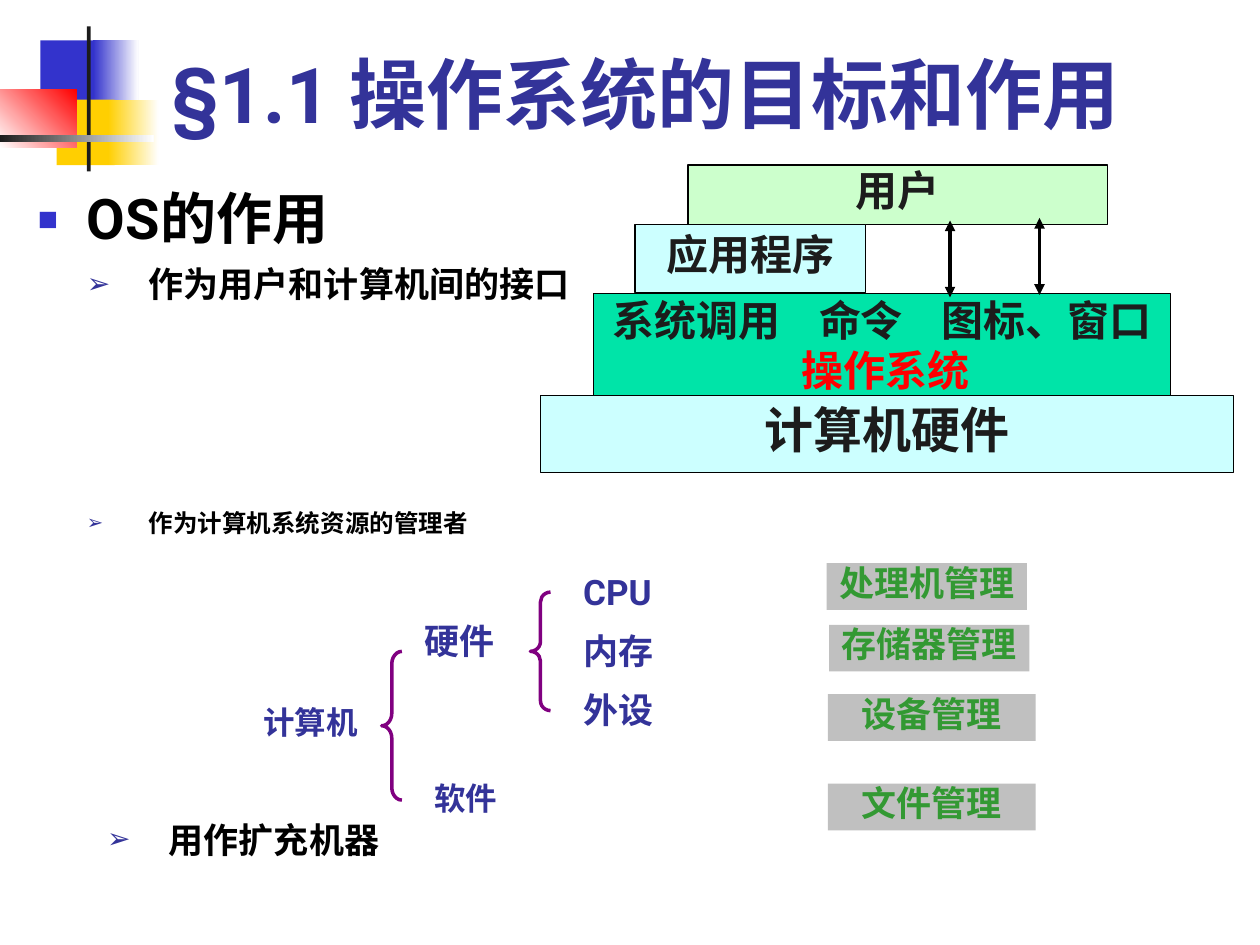
from dataclasses import dataclass

from lxml.etree import SubElement
from pptx import Presentation
from pptx.dml.color import RGBColor as RGB
from pptx.enum.shapes import MSO_CONNECTOR as CONN, MSO_SHAPE as SHAPE
from pptx.enum.text import MSO_ANCHOR as ANCHOR, MSO_AUTO_SIZE as FIT, PP_ALIGN as ALIGN
from pptx.oxml.ns import qn
from pptx.util import Inches, Pt


@dataclass(frozen=True)
class Theme:
    font: str = "Roboto"
    blue: str = "3333CC"
    navy: str = "333399"
    yellow: str = "FFCF01"
    red: str = "FF0000"
    ink: str = "1C1C1C"
    black: str = "000000"
    white: str = "FFFFFF"
    mint: str = "CCFFCC"
    aqua: str = "CCFFFF"
    jade: str = "00E4A8"
    silver: str = "C0C0C0"
    green: str = "339933"
    purple: str = "800080"
    title: int = 44
    heading: int = 32
    hardware: int = 28
    layer: int = 24
    label: int = 20
    minor: int = 18
    small: int = 14


T = Theme()


def apply(obj, values):
    for name, value in values.items():
        setattr(obj, name, value)


def place(sp, box):
    apply(sp, dict(zip(("left", "top", "width", "height"), map(Inches, box))))


def format_frame(tf, wrap=True, anchor=ANCHOR.TOP, left=0.1):
    apply(tf, {
        "auto_size": FIT.NONE, "word_wrap": wrap, "vertical_anchor": anchor,
        "margin_left": Inches(left), "margin_right": Inches(0.1),
        "margin_top": Inches(0.05), "margin_bottom": Inches(0.05),
    })


def write(p, text, size, color, align=ALIGN.LEFT, spacing=0.8):
    apply(p, {"alignment": align, "line_spacing": spacing, "space_before": Pt(0)})
    r = p.add_run()
    r.text = text
    apply(r.font, {"name": T.font, "size": Pt(size), "bold": True})
    r.font.color.rgb = RGB.from_string(color)


def add_bullet(p, char, color, percent, indent):
    pPr = p._p.get_or_add_pPr()
    pPr.set("marL", str(Inches(indent)))
    pPr.set("indent", str(-Inches(indent)))
    SubElement(SubElement(pPr, qn("a:buClr")), qn("a:srgbClr"), val=color)
    SubElement(pPr, qn("a:buSzPct"), val=str(percent * 1000))
    SubElement(pPr, qn("a:buChar"), char=char)


def add_tabs(p, stops):
    tabs = SubElement(p._p.get_or_add_pPr(), qn("a:tabLst"))
    for stop in stops:
        SubElement(tabs, qn("a:tab"), pos=str(Inches(stop)), algn="l")


def add_block(s, box, colors, border=None, angle=0, shape=SHAPE.RECTANGLE):
    sp = s.shapes.add_shape(shape, *map(Inches, box))
    sp.shadow.inherit = False
    if len(colors) == 2:
        sp.fill.gradient()
        sp.fill.gradient_angle = angle
        for stop, color, position in zip(sp.fill.gradient_stops, colors, (0, 1)):
            stop.color.rgb = RGB.from_string(color)
            stop.position = position
    elif colors:
        sp.fill.solid()
        sp.fill.fore_color.rgb = RGB.from_string(colors[0])
    else:
        sp.fill.background()
    if border:
        color, width = border
        sp.line.color.rgb = RGB.from_string(color)
        sp.line.width = Pt(width)
    else:
        sp.line.fill.background()
    return sp


def add_ornament(s, x, y):
    for dx, dy, w, h, colors, angle in (
        (0.32, 0.11, 0.48, 0.52, [T.blue], 0),
        (0.74, 0.11, 0.36, 0.52, [T.blue, T.white], 0),
        (0.45, 0.58, 0.46, 0.52, [T.yellow], 0),
        (0.86, 0.58, 0.4, 0.52, [T.yellow, T.white], 0),
        (0, 0.5, 0.61, 0.46, [T.white, T.red], 45),
        (0.69, 0, 0.03, 1.15, [T.ink], 0),
        (0, 0.86, 1.22, 0.06, [T.ink, T.white], 0),
    ):
        add_block(s, (x + dx, y + dy, w, h), colors, angle=angle)


def add_title(s, box):
    sp = s.shapes.title
    place(sp, box)
    format_frame(sp.text_frame, anchor=ANCHOR.BOTTOM)
    write(sp.text_frame.paragraphs[0], "§1.1 操作系统的目标和作用", T.title, T.navy, spacing=1)


def add_outline(s):
    square, arrow = ("■", T.blue, 60, 0.39), ("➢", T.navy, 80, 0.49)
    items = (
        ("OS的作用", (0.2, 1.47, 4.33, 0.63), T.heading, 0.9, square),
        ("作为用户和计算机间的接口", (0.59, 2.1, 5.31, 0.55), T.label, 0.8, arrow),
        ("作为计算机系统资源的管理者", (0.59, 3.91, 3.23, 0.63), T.small, 1.3, arrow),
        ("用作扩充机器", (0.75, 6.51, 3.9, 0.63), T.label, 0.8, arrow),
    )
    bodies = [sp for sp in s.placeholders if 1 <= sp.placeholder_format.idx <= 4]
    for sp, (text, box, size, spacing, bullet) in zip(bodies, items):
        place(sp, box)
        format_frame(sp.text_frame)
        p = sp.text_frame.paragraphs[0]
        add_bullet(p, *bullet)
        write(p, text, size, T.black, spacing=spacing)


def add_layers(s, x, y):
    border = (T.black, 0.75)
    for text, dx, dy, w, h, fill, size in (
        ("用户", 1.17, 0, 3.33, 0.47, T.mint, T.layer),
        ("应用程序", 0.75, 0.47, 1.83, 0.54, T.aqua, T.layer),
        ("计算机硬件", 0, 1.83, 5.5, 0.61, T.aqua, T.hardware),
    ):
        sp = add_block(s, (x + dx, y + dy, w, h), [fill], border)
        format_frame(sp.text_frame, False, ANCHOR.MIDDLE)
        write(sp.text_frame.paragraphs[0], text, size, T.ink, ALIGN.CENTER)

    tf = add_block(s, (x + 0.42, y + 1.02, 4.58, 0.81), [T.jade], border).text_frame
    format_frame(tf, True, ANCHOR.MIDDLE, left=0.15)
    p = tf.paragraphs[0]
    add_tabs(p, (1.64, 2.61))
    write(p, "系统调用\t命令\t图标、窗口", T.layer, T.ink, spacing=1)
    write(tf.add_paragraph(), "操作系统", T.layer, T.red, ALIGN.CENTER, 1)

    for dx, dy in ((3.25, 0.44), (3.96, 0.42)):
        add_double_arrow(s, x + dx, y + dy, 0.61)


def add_double_arrow(s, x, y, length):
    line = s.shapes.add_connector(CONN.STRAIGHT, *map(Inches, (x, y, x, y + length)))
    line.line.color.rgb = RGB.from_string(T.black)
    line.line.width = Pt(2)
    spPr = line._element.spPr
    for end in ("a:headEnd", "a:tailEnd"):
        SubElement(spPr.find(qn("a:ln")), qn(end), type="triangle")
    SubElement(spPr, qn("a:effectLst"))


def add_resource_tree(s, x, y):
    for text, dx, dy, w, size in (
        ("计算机", 0, 1.05, 1.12, T.minor),
        ("硬件", 1.28, 0.39, 0.75, T.label),
        ("软件", 1.36, 1.65, 0.7, T.minor),
        ("CPU", 2.54, 0, 0.76, T.label),
        ("内存", 2.54, 0.47, 0.75, T.label),
        ("外设", 2.54, 0.94, 0.75, T.label),
    ):
        tf = s.shapes.add_textbox(*map(Inches, (x + dx, y + dy, w, 0.37))).text_frame
        format_frame(tf, wrap=False)
        write(tf.paragraphs[0], text, size, T.navy)
    for dx, dy, h, curl in ((1.04, 0.63, 1.18, 0.62), (2.22, 0.16, 0.94, 0.49)):
        box = (x + dx, y + dy, 0.16, h)
        brace = add_block(s, box, [], (T.purple, 2), shape=SHAPE.LEFT_BRACE)
        brace.adjustments[0] = curl


def add_managers(s, x, y):
    for text, dx, dy, w in (
        ("处理机管理", 0, 0, 1.59),
        ("存储器管理", 0.02, 0.49, 1.59),
        ("设备管理", 0.01, 1.04, 1.65),
        ("文件管理", 0.01, 1.75, 1.65),
    ):
        tf = add_block(s, (x + dx, y + dy, w, 0.37), [T.silver]).text_frame
        format_frame(tf, False)
        write(tf.paragraphs[0], text, T.label, T.green, ALIGN.CENTER)


def main():
    prs = Presentation()
    prs.slide_width, prs.slide_height = Inches(10), Inches(7.5)
    s = prs.slides.add_slide(prs.slide_layouts.get_by_name("Comparison"))
    add_ornament(s, 0, 0.21)
    add_title(s, (1.26, 0.36, 8.52, 0.79))
    add_outline(s)
    add_layers(s, 4.29, 1.31)
    add_resource_tree(s, 1.99, 4.54)
    add_managers(s, 6.56, 4.47)
    prs.save("out.pptx")


if __name__ == "__main__":
    main()
